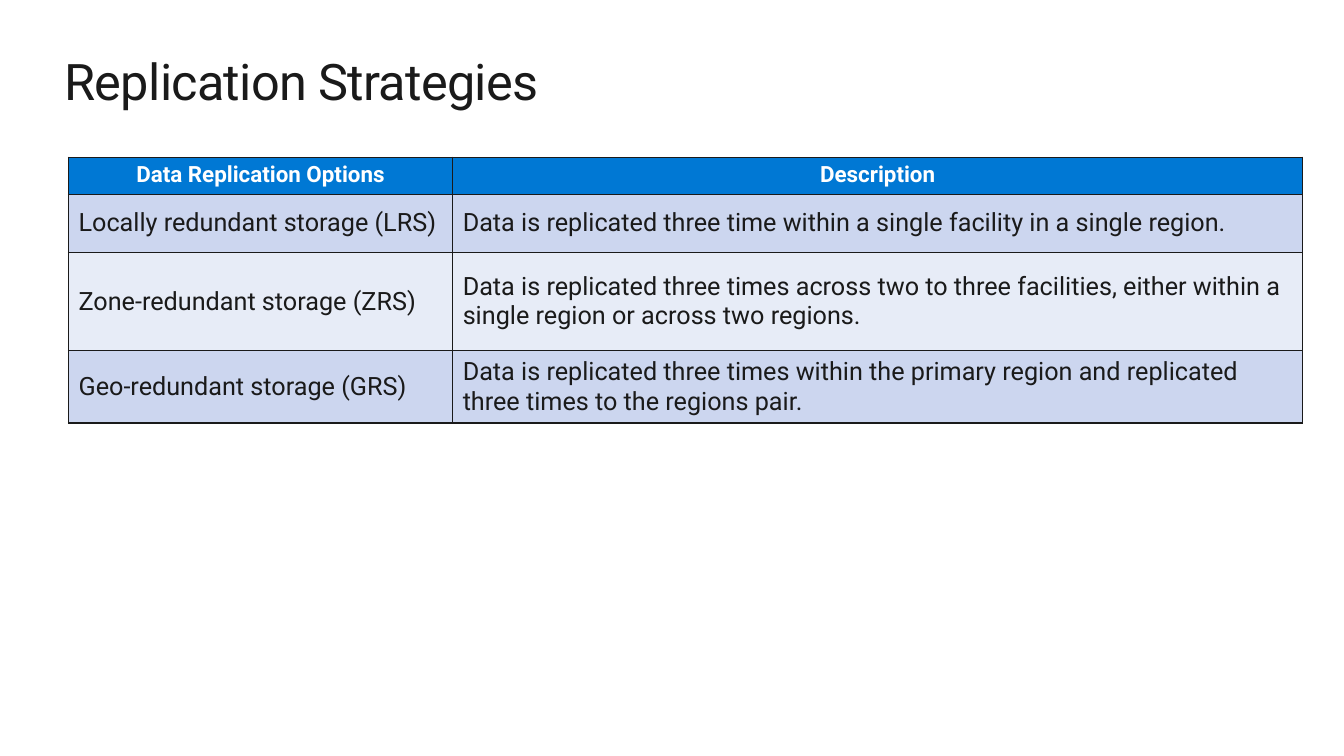
from dataclasses import dataclass

from lxml import etree
from pptx import Presentation
from pptx import util as u
from pptx.dml import color
from pptx.enum import text
from pptx.oxml import ns

FONT = "Roboto"
INK = "1A1A1A"
WHITE = "FFFFFF"
HEADER_BLUE = "0078D4"
BAND_FILLS = ("CCD6EF", "E7ECF7")
COLUMN_WIDTHS = (3.81, 8.43)


@dataclass
class TableRow:
    height: float
    option: str
    description: str


HEADER = TableRow(0.32, "Data Replication Options", "Description")
STRATEGIES = [
    TableRow(0.58, "Locally redundant storage (LRS)",
             "Data is replicated three time within a single facility in a single region."),
    TableRow(0.97, "Zone-redundant storage (ZRS)",
             "Data is replicated three times across two to three facilities, "
             "either within a single region or across two regions."),
    TableRow(0.72, "Geo-redundant storage (GRS)",
             "Data is replicated three times within the primary region "
             "and replicated three times to the regions pair."),
]

TITLE_FORMAT = {"name": FONT, "size": u.Pt(36), "bold": False}
HEADER_FORMAT = {"name": FONT, "size": u.Pt(16), "bold": True}
BODY_FORMAT = {"name": FONT, "size": u.Pt(18), "bold": False}


def rgb(value: str) -> color.RGBColor:
    return color.RGBColor.from_string(value)


def write(paragraph, words: str, font_format: dict, ink: str):
    run = paragraph.add_run()
    run.text = words
    for name, value in font_format.items():
        setattr(run.font, name, value)
    run.font.color.rgb = rgb(ink)
    return run


def add_cell_borders(cell, ink: str, width: float) -> None:
    properties = cell._tc.get_or_add_tcPr()
    for position, side in enumerate(("lnL", "lnR", "lnT", "lnB")):
        line = etree.Element(ns.qn(f"a:{side}"), w=str(u.Pt(width)))
        fill = etree.SubElement(line, ns.qn("a:solidFill"))
        etree.SubElement(fill, ns.qn("a:srgbClr"), val=ink)
        properties.insert(position, line)  # borders precede the cell fill


def add_title(slide, words: str) -> None:
    box = slide.shapes.add_textbox(
        u.Inches(0.64), u.Inches(0.5), u.Inches(12.05), u.Inches(0.61))
    frame_format = {"word_wrap": True, "margin_left": 0, "margin_right": 0,
                    "margin_top": 0, "margin_bottom": 0}
    for name, value in frame_format.items():
        setattr(box.text_frame, name, value)
    run = write(box.text_frame.paragraphs[0], words, TITLE_FORMAT, INK)
    run.font._element.set("spc", "-50")


def fill_cell(cell, words: str, fill: str, is_header: bool) -> None:
    cell.fill.solid()
    cell.fill.fore_color.rgb = rgb(fill)
    add_cell_borders(cell, INK, 1)
    paragraph = cell.text_frame.paragraphs[0]
    if is_header:
        paragraph.alignment = text.PP_ALIGN.CENTER
        write(paragraph, words, HEADER_FORMAT, WHITE)
    else:
        cell.vertical_anchor = text.MSO_ANCHOR.MIDDLE
        write(paragraph, words, BODY_FORMAT, INK)


def add_strategy_table(slide) -> None:
    rows = [HEADER, *STRATEGIES]
    table = slide.shapes.add_table(
        len(rows), len(COLUMN_WIDTHS), u.Inches(0.68), u.Inches(1.56),
        u.Inches(sum(COLUMN_WIDTHS)), u.Inches(sum(row.height for row in rows))).table
    for column, width in zip(table.columns, COLUMN_WIDTHS):
        column.width = u.Inches(width)
    for index, row in enumerate(rows):
        table.rows[index].height = u.Inches(row.height)
        is_header = index == 0
        fill = HEADER_BLUE if is_header else BAND_FILLS[(index - 1) % 2]
        for column, words in enumerate((row.option, row.description)):
            fill_cell(table.cell(index, column), words, fill, is_header)


def main() -> None:
    presentation = Presentation()
    presentation.slide_width = u.Inches(13.33)
    presentation.slide_height = u.Inches(7.5)
    slide = presentation.slides.add_slide(presentation.slide_layouts[6])

    # Heading
    add_title(slide, "Replication Strategies")

    # Replication options
    add_strategy_table(slide)

    presentation.save("out.pptx")


if __name__ == "__main__":
    main()
